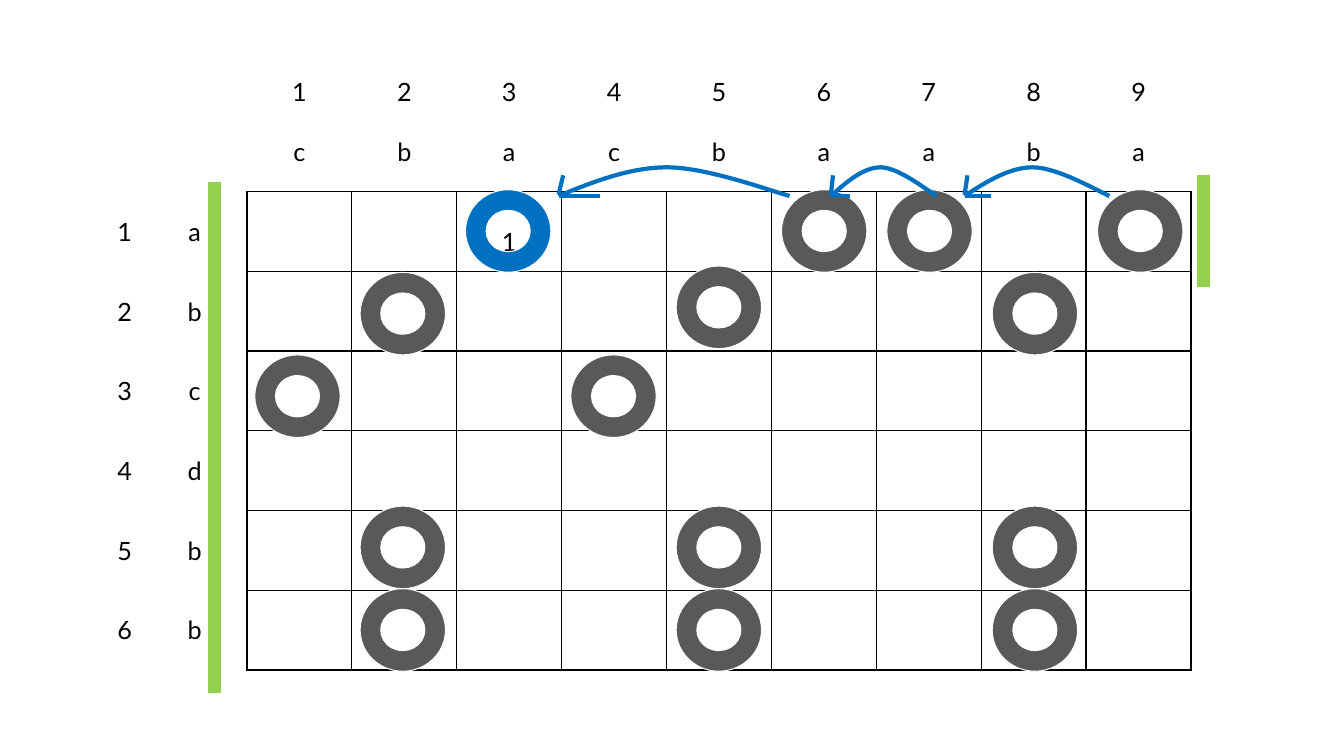
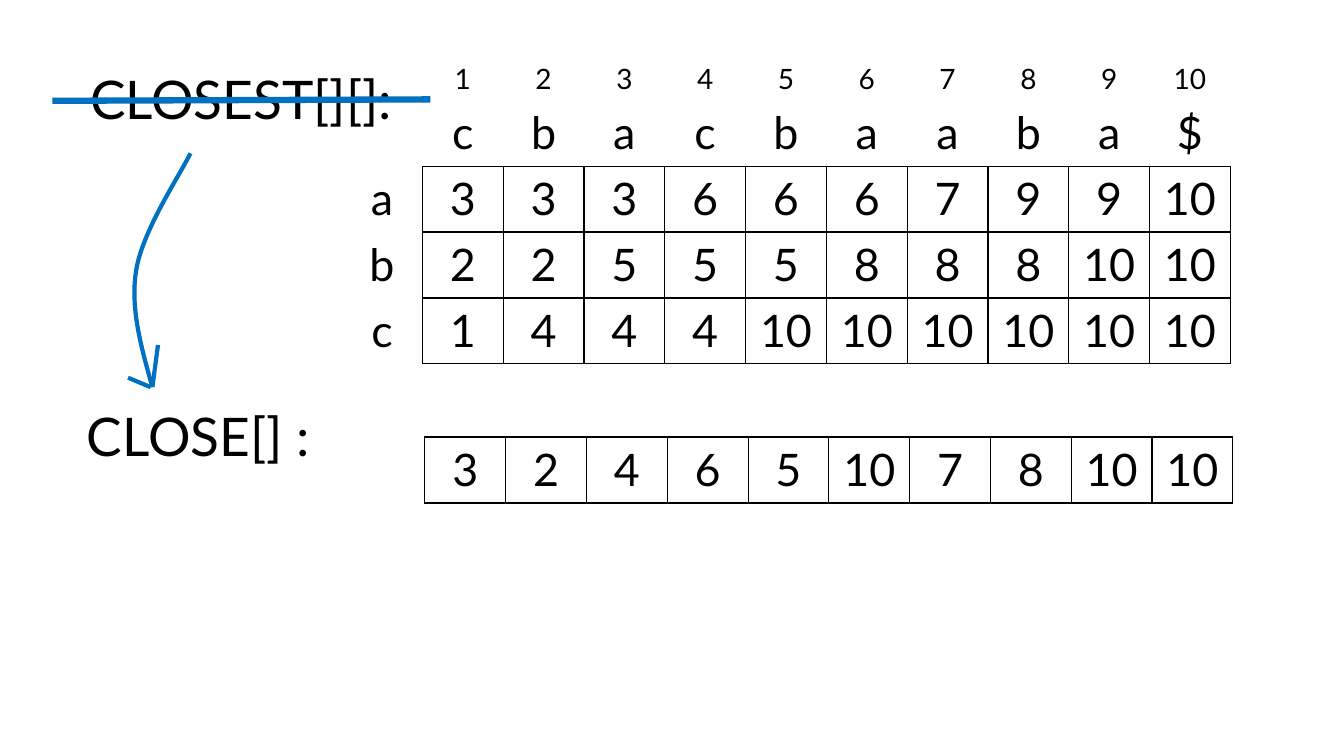
from lxml import etree
from pptx import Presentation
from pptx.dml.color import RGBColor
from pptx.enum import shapes, text
from pptx.oxml import ns
from pptx.util import Pt

FONT = "Lato"
INK = RGBColor(0, 0, 0)
PAPER = RGBColor(0xFF, 0xFF, 0xFF)
BLUE = RGBColor(0x00, 0x70, 0xC0)
GRAY = RGBColor(0x59, 0x59, 0x59)
GREEN = RGBColor(0x92, 0xD0, 0x50)

LEFT, MID, RIGHT = text.PP_ALIGN.LEFT, text.PP_ALIGN.CENTER, text.PP_ALIGN.RIGHT
TOP, CORE, BASE = (text.MSO_ANCHOR.TOP, text.MSO_ANCHOR.MIDDLE,
                   text.MSO_ANCHOR.BOTTOM)

# Curves and barbs as shares of the arrow's box; the tip comes first.
HOP = ([(0, 1), (.15, .5), (.31, 0), (.47, 0), (.64, 0), (.91, .8), (1, 1)],
       [((.02, .28), (0, .95)), ((0, 1), (.18, 1))])
DROP = ([(.39, 1), (.21, .83), (.03, .66), (.13, .5), (.23, .33), (.84, .09),
         (1, 0)],
        [((0, .96), (.36, 1)), ((.39, 1), (.48, .82))])


def write(para, words, size, align=MID):
    para.text = words
    para.alignment = align
    para.font.name = FONT
    para.font.size = Pt(size)
    para.font.color.rgb = INK


def edge(cell, side, color):
    line = etree.SubElement(cell._tc.get_or_add_tcPr(), ns.qn("a:ln" + side),
                            w=str(Pt(1)))
    fill = etree.SubElement(line, ns.qn("a:solidFill"))
    etree.SubElement(fill, ns.qn("a:srgbClr"), val=str(color))


def grid(slide, box, rows, heads, look):
    """Table whose leading heads (rows, columns) stand outside the ruled part.

    look(row, col) gives the size, anchor and alignment of a cell.
    """
    high, wide = len(rows), len(rows[0])
    x, y, w, h = box
    table = slide.shapes.add_table(high, wide, Pt(x), Pt(y), Pt(w), Pt(h)).table
    table.first_row = table.horz_banding = False
    for col in table.columns:
        col.width = Pt(w / wide)
    for row in table.rows:
        row.height = Pt(h / high)
    top, left = heads
    for r, row in enumerate(rows):
        for c, words in enumerate(row):
            cell = table.cell(r, c)
            body = r >= top and c >= left
            ruled = {"R": r >= top and c == left - 1,
                     "B": c >= left and r == top - 1}
            for side in "LRTB":
                dark = body or ruled.get(side)
                edge(cell, side, INK if dark else PAPER)
            cell.fill.background()
            size, anchor, align = look(r, c)
            cell.vertical_anchor = anchor
            if words:
                write(cell.text_frame.paragraphs[0], words, size, align)
    return table


def shape(slide, kind, box, color):
    item = slide.shapes.add_shape(kind, *map(Pt, box))
    item.shadow.inherit = False
    item.fill.solid()
    item.fill.fore_color.rgb = color
    item.line.fill.background()
    return item


def ring(slide, col, top, color=GRAY):
    box = (182 + 75.25 * (col - 1), top, 61, 59)
    item = shape(slide, shapes.MSO_SHAPE.DONUT, box, color)
    item.line.color.rgb = PAPER
    item.line.width = Pt(.75)


def bar(slide, x, y, length):
    """Upright green bar centred on x, y."""
    box = (x - length / 2, y - 20, length, 40)
    shape(slide, shapes.MSO_SHAPE.MATH_MINUS, box, GREEN).rotation = 270


def stroke(slide, start, end, width=3):
    line = slide.shapes.add_connector(shapes.MSO_CONNECTOR.STRAIGHT,
                                      *map(Pt, start + end))
    line.line.color.rgb = BLUE
    line.line.width = Pt(width)
    etree.SubElement(line._element.spPr, ns.qn("a:effectLst"))


def arrow(slide, box, form):
    x, y, w, h = box

    def place(spot):
        return x + w * spot[0], y + h * spot[1]

    curve, barbs = form
    knots = [tuple(map(Pt, place(spot))) for spot in curve]
    pen = slide.shapes.build_freeform(*knots[0])
    pen.add_line_segments(knots[1:], close=False)
    item = pen.convert_to_shape()
    item.shadow.inherit = False
    item.fill.background()
    item.line.color.rgb = BLUE
    item.line.width = Pt(3)
    # Every three straight segments become one cubic curve.
    steps = list(item._element.iter(ns.qn("a:lnTo")))
    for i in range(0, len(steps), 3):
        bend = etree.Element(ns.qn("a:cubicBezTo"))
        steps[i].addprevious(bend)
        for step in steps[i:i + 3]:
            bend.append(step[0])
            step.getparent().remove(step)
    for start, end in barbs:
        stroke(slide, place(start), place(end))


def title(slide, box, words):
    frame = slide.shapes.add_textbox(*map(Pt, box)).text_frame
    frame.word_wrap = False
    write(frame.paragraphs[0], words, 38)


def match(slide):
    """Grid of matching letters, with hops between the a's."""
    def look(r, c):
        if r >= 2 and c >= 2:
            return 18, TOP, MID
        return 18, BASE if r == 0 else CORE, RIGHT if c == 0 else MID

    rows = [["", "", *"123456789"], ["", "", *"cbacbaaba"]]
    rows += [[str(i), mark] + [""] * 9 for i, mark in enumerate("abcdbb", 1)]
    rows[2][4] = "1"
    table = grid(slide, (26.6, 23, 824.4, 455.8), rows, (2, 2), look)
    table.cell(2, 4).text_frame.paragraphs[0].line_spacing = 2.0

    ring(slide, 3, 135.5, BLUE)
    for top, cols in ((135.5, (6, 7, 9)), (190, (5,)), (194.5, (2, 8)),
                      (253.5, (1, 4)), (361.5, (2, 5, 8)),
                      (420.5, (2, 5, 8))):
        for col in cols:
            ring(slide, col, top)
    for x, w in ((689, 103.5), (593.5, 75.5), (399, 165)):
        arrow(slide, (x, 119.5, w, 20.5), HOP)
    bar(slide, 859.7, 165, 109.5)
    bar(slide, 153.4, 312.5, 497)


def close(slide):
    """Table of closest places, and the single row that replaces it."""
    def look(r, c):
        return (20, BASE, MID) if r == 0 else (32, TOP, MID)

    rows = [["", *map(str, range(1, 11))], ["", *"cbacbaaba$"],
            "a 3 3 3 6 6 6 7 9 9 10".split(),
            "b 2 2 5 5 5 8 8 8 10 10".split(),
            "c 1 4 4 4 10 10 10 10 10 10".split()]
    grid(slide, (244, 24.5, 635, 235.5), rows, (2, 1), look)
    title(slide, (51, 44, 242.5, 53), "CLOSEST[][]:")
    grid(slide, (303.5, 312.2, 577.3, 47.1), ["3 2 4 6 5 10 7 8 10 10".split()],
         (0, 0), lambda r, c: (32, TOP, MID))
    title(slide, (51, 284.5, 181.5, 53), "CLOSE[] :")
    arrow(slide, (91.5, 109.5, 44.5, 167), DROP)
    stroke(slide, (37.4, 72), (307.4, 71), 4.5)


def main():
    deck = Presentation()
    deck.slide_width, deck.slide_height = Pt(960), Pt(540)
    for draw in (match, close):
        draw(deck.slides.add_slide(deck.slide_layouts[6]))
    deck.save("out.pptx")


if __name__ == "__main__":
    main()
